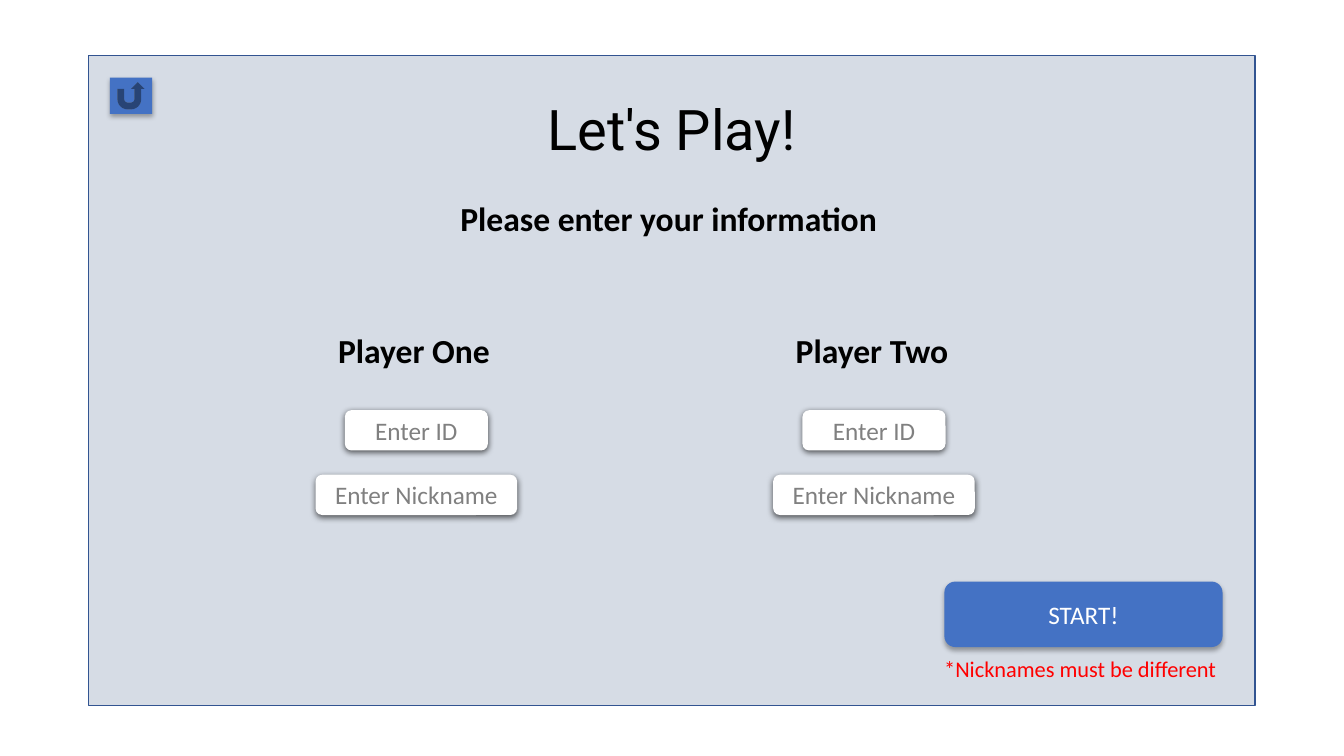
from dataclasses import dataclass

from lxml import etree
from pptx import Presentation
from pptx.dml.color import RGBColor
from pptx.enum.shapes import MSO_SHAPE
from pptx.enum.text import MSO_ANCHOR, PP_ALIGN
from pptx.oxml.ns import qn
from pptx.util import Pt

RECTANGLE = MSO_SHAPE.RECTANGLE
ROUNDED = MSO_SHAPE.ROUNDED_RECTANGLE
RETURN_BUTTON = MSO_SHAPE.ACTION_BUTTON_RETURN
LEFT, CENTER = PP_ALIGN.LEFT, PP_ALIGN.CENTER
TOP, MIDDLE = MSO_ANCHOR.TOP, MSO_ANCHOR.MIDDLE

# Content
TITLE = "Let's Play!"
PROMPT = "Please enter your information"
PLAYERS = ["Player One", "Player Two"]
FIELDS = [("Enter ID", 102.2), ("Enter Nickname", 144)]  # text, width
START = "START!"
WARNING = "*Nicknames must be different"


@dataclass(frozen=True)
class Theme:
    panel: str = "D6DCE5"
    outline: str = "325491"
    button: str = "4472C4"
    white: str = "FFFFFF"
    black: str = "000000"
    hint: str = "808080"
    warning: str = "FF0000"
    title_font: str = "Roboto"
    body_font: str = "Calibri"
    title_size: int = 40
    heading_size: int = 24
    control_size: int = 18
    warning_size: int = 16


THEME = Theme()
# Shadows: opacity %, blur, distance
FIELD_SHADOW = (63, 4.5, 1.5)
BUTTON_SHADOW = (32, 3.5, 2.2)

# Layout in points
PANEL_BOX = (63.4, 39.6, 833, 500.4 - 36)
TITLE_BOX = (380, 64, 199.5, 55.5)
PROMPT_BOX = (321.8, 137.5, 316, 36)
RETURN_BOX = (78.5, 55.5, 30.2, 25.9)
START_BOX = (674.6, 415.4, 198.7, 46.8)
WARNING_BOX = (667.4, 464.4, 213, 26.6)
FIRST_CENTER, PLAYER_STEP = 297.4, 326.9
LABEL_TOP, LABEL_WIDTH, LABEL_HEIGHT = 232.3, 126, 36
FIELD_TOP, FIELD_STEP, FIELD_HEIGHT = 293, 46.1, 28.8


def rgb(color):
    return RGBColor.from_string(color)


def write(shape, text, size, color, font=THEME.body_font, bold=False, align=LEFT, anchor=TOP):
    frame = shape.text_frame
    frame.text = text
    frame.word_wrap = False
    frame.vertical_anchor = anchor
    paragraph = frame.paragraphs[0]
    paragraph.alignment = align
    style = paragraph.runs[0].font
    style.name, style.size, style.bold = font, Pt(size), bold
    style.color.rgb = rgb(color)


def add_text(slide, box, text, size, color, bold=False):
    textbox = slide.shapes.add_textbox(*map(Pt, box))
    write(textbox, text, size, color, bold=bold)


def cast_shadow(shape, opacity, blur, distance):
    """Add a soft black shadow straight below the shape."""
    effects = shape.element.spPr.find(qn("a:effectLst"))
    shadow = etree.SubElement(effects, qn("a:outerShdw"), blurRad=str(Pt(blur)),
                              dist=str(Pt(distance)), dir="5400000", algn="t", rotWithShape="0")
    color = etree.SubElement(shadow, qn("a:srgbClr"), val=THEME.black)
    etree.SubElement(color, qn("a:alpha"), val=str(opacity * 1000))


def add_block(slide, kind, box, fill, shadow=None):
    block = slide.shapes.add_shape(kind, *map(Pt, box))
    block.shadow.inherit = False
    block.fill.solid()
    block.fill.fore_color.rgb = rgb(fill)
    block.line.fill.background()
    if shadow:
        cast_shadow(block, *shadow)
    return block


def add_control(slide, box, text, fill, color, shadow):
    control = add_block(slide, ROUNDED, box, fill, shadow)
    write(control, text, THEME.control_size, color, align=CENTER, anchor=MIDDLE)


def add_player(slide, name, center):
    label_box = (center - LABEL_WIDTH / 2, LABEL_TOP, LABEL_WIDTH, LABEL_HEIGHT)
    add_text(slide, label_box, name, THEME.heading_size, THEME.black, bold=True)
    for row, (hint, width) in enumerate(FIELDS):
        field_box = (center - width / 2, FIELD_TOP + row * FIELD_STEP, width, FIELD_HEIGHT)
        add_control(slide, field_box, hint, THEME.white, THEME.hint, FIELD_SHADOW)


def main():
    deck = Presentation()
    deck.slide_width, deck.slide_height = Pt(960), Pt(540)
    slide = deck.slides.add_slide(deck.slide_layouts[5])

    panel = add_block(slide, RECTANGLE, PANEL_BOX, THEME.panel)
    panel.line.color.rgb = rgb(THEME.outline)
    panel.line.width = Pt(1)

    title = slide.shapes.title
    panel.element.addnext(title.element)  # the title stands in front of the panel
    title.left, title.top, title.width, title.height = map(Pt, TITLE_BOX)
    write(title, TITLE, THEME.title_size, THEME.black, font=THEME.title_font, align=CENTER)

    add_text(slide, PROMPT_BOX, PROMPT, THEME.heading_size, THEME.black, bold=True)
    for column, player in enumerate(PLAYERS):
        add_player(slide, player, FIRST_CENTER + column * PLAYER_STEP)

    add_control(slide, START_BOX, START, THEME.button, THEME.white, BUTTON_SHADOW)
    add_text(slide, WARNING_BOX, WARNING, THEME.warning_size, THEME.warning)
    add_block(slide, RETURN_BUTTON, RETURN_BOX, THEME.button, BUTTON_SHADOW)
    deck.save("out.pptx")


if __name__ == "__main__":
    main()
